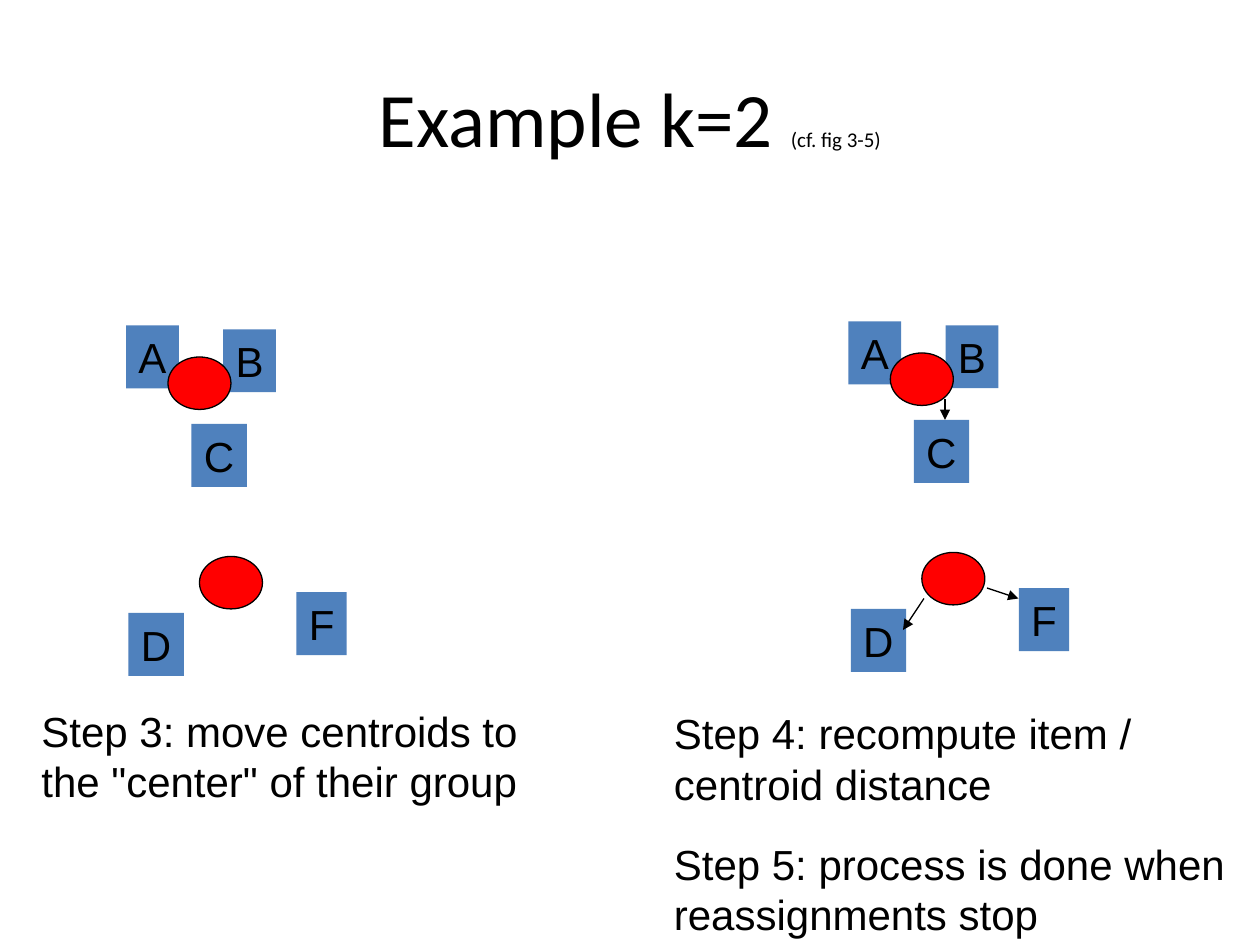
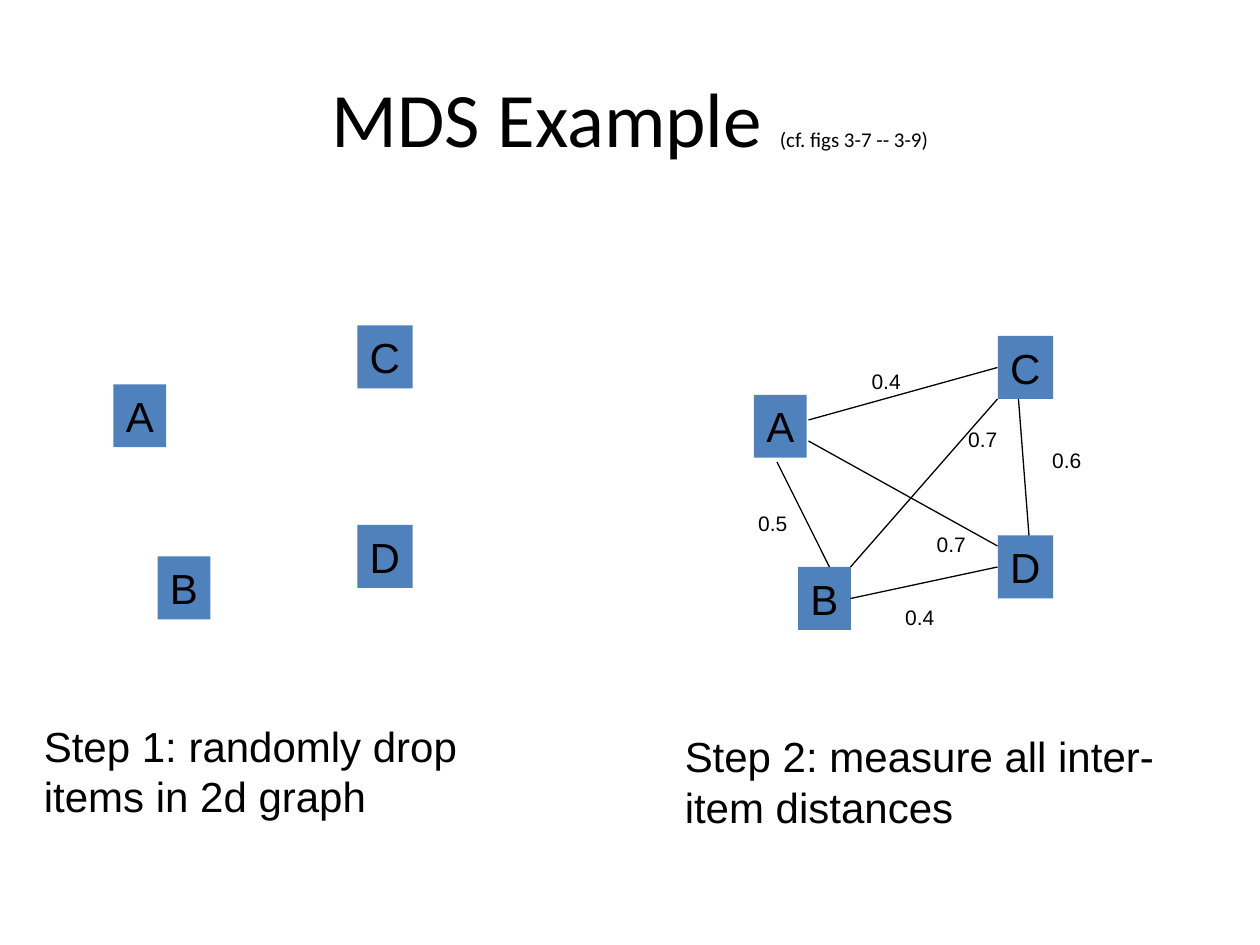
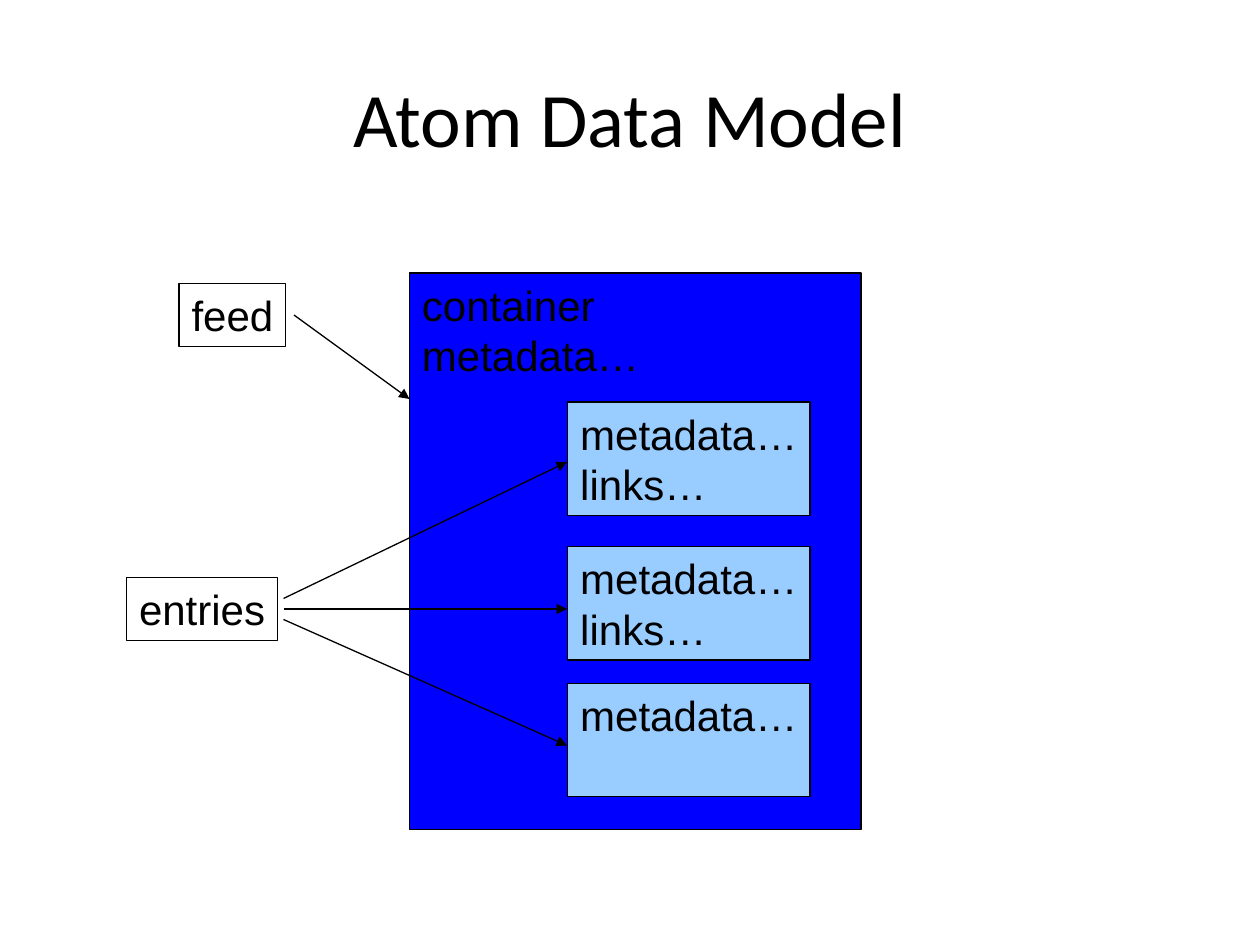
from pptx import Presentation
from pptx.dml.color import RGBColor
from pptx.enum.shapes import MSO_CONNECTOR, MSO_SHAPE
from pptx.enum.text import MSO_ANCHOR, PP_ALIGN
from pptx.oxml.ns import qn
from pptx.util import Pt
from lxml.etree import SubElement

BLACK = RGBColor(0x00, 0x00, 0x00)
ITEM_BLUE = RGBColor(0x4F, 0x81, 0xBD)
CENTROID_RED = RGBColor(0xFF, 0x00, 0x00)
FEED_BLUE = RGBColor(0x00, 0x00, 0xFF)
ENTRY_BLUE = RGBColor(0x99, 0xCC, 0xFF)

LINE_WIDTH = 0.75
LINE_PITCH = 1.2
ITEM_HEIGHT = 36
ITEM_WIDTHS = {"A": 30.2, "B": 30.2, "C": 31.7, "D": 31.7, "F": 28.8}


def add_box(slide, box, lines=(), fill=None, outlined=False,
            kind=MSO_SHAPE.RECTANGLE, size=24, gaps=None):
    """Add a shape, or a bare text box; gaps maps a line index to its space before."""
    left, top, width, height = [Pt(length) for length in box]
    is_text_box = fill is None and not outlined
    if is_text_box:
        shape = slide.shapes.add_textbox(left, top, width, height)
    else:
        shape = slide.shapes.add_shape(kind, left, top, width, height)
        shape.shadow.inherit = False
        if fill is None:
            shape.fill.background()
        else:
            shape.fill.solid()
            shape.fill.fore_color.rgb = fill
        if outlined:
            shape.line.color.rgb = BLACK
            shape.line.width = Pt(LINE_WIDTH)
        else:
            shape.line.fill.background()
    frame = shape.text_frame
    frame.word_wrap = is_text_box
    frame.vertical_anchor = MSO_ANCHOR.TOP
    for index, line in enumerate(lines):
        paragraph = frame.paragraphs[0] if index == 0 else frame.add_paragraph()
        paragraph.alignment = PP_ALIGN.LEFT
        paragraph.line_spacing = Pt(LINE_PITCH * size)
        if gaps and index in gaps:
            paragraph.space_before = Pt(gaps[index])
        run = paragraph.add_run()
        run.text = line
        run.font.name = "Arial"
        run.font.size = Pt(size)
        run.font.color.rgb = BLACK


def add_line(slide, ends, arrow=False):
    """Add a thin black line from (x1, y1) to (x2, y2)."""
    connector = slide.shapes.add_connector(
        MSO_CONNECTOR.STRAIGHT, *[Pt(length) for length in ends])
    connector.line.color.rgb = BLACK
    connector.line.width = Pt(LINE_WIDTH)
    properties = connector._element.spPr
    if arrow:
        SubElement(properties.get_or_add_ln(), qn("a:tailEnd"), type="triangle")
    SubElement(properties, qn("a:effectLst"))


presentation = Presentation()
presentation.slide_width = Pt(720)
presentation.slide_height = Pt(540)

# Slides and their titles
slides = []
for title_runs in (
    [("Example k=2 ", 44), ("(cf. fig 3-5)", 12)],
    [("MDS Example ", 44), ("(cf. figs 3-7 -- 3-9)", 12)],
    [("Atom Data Model", 44)],
):
    slide = presentation.slides.add_slide(presentation.slide_layouts[6])
    title = slide.shapes.add_textbox(Pt(36), Pt(21.6), Pt(648), Pt(90))
    title.text_frame.word_wrap = True
    title.text_frame.vertical_anchor = MSO_ANCHOR.MIDDLE
    paragraph = title.text_frame.paragraphs[0]
    paragraph.alignment = PP_ALIGN.CENTER
    for text, size in title_runs:
        run = paragraph.add_run()
        run.text = text
        run.font.name = "Calibri"
        run.font.size = Pt(size)
        run.font.color.rgb = BLACK
    slides.append(slide)
kmeans_slide, mds_slide, atom_slide = slides

# Example k=2: the same items and centroids in both steps
clusters = {"A": (72, 186), "B": (127.5, 188.2), "C": (109.4, 242.3),
            "D": (73.4, 350.3), "F": (169.4, 338.4)}
centroids = [(96, 204), (114, 318)]
for shift_x, shift_y in ((0, 0), (412.8, -2.3)):
    for letter, (x, y) in clusters.items():
        add_box(kmeans_slide,
                (x + shift_x, y + shift_y, ITEM_WIDTHS[letter], ITEM_HEIGHT),
                [letter], ITEM_BLUE)
    for x, y in centroids:
        add_box(kmeans_slide, (x + shift_x, y + shift_y, 36, 30),
                fill=CENTROID_RED, outlined=True, kind=MSO_SHAPE.OVAL)

add_box(kmeans_slide, (16.6, 399.6, 297, 64.8),
        ["Step 3: move centroids to", 'the "center" of their group'])
add_box(kmeans_slide, (378, 401, 334, 139),
        ["Step 4: recompute item /", "centroid distance",
         "Step 5: process is done when", "reassignments stop"], gaps={2: 16.8})

for ends in ((540, 228, 540, 240), (564, 336, 582, 342), (528, 342, 516, 360)):
    add_line(kmeans_slide, ends, arrow=True)

# MDS: items dropped at random, then measured
mds_items = {"A": (64.8, 219.6), "B": (90, 318),
             "C": (204.2, 186), "D": (204.2, 300)}
for shift_x, shift_y in ((0, 0), (366, 6)):
    for letter, (x, y) in mds_items.items():
        add_box(mds_slide,
                (x + shift_x, y + shift_y, ITEM_WIDTHS[letter], ITEM_HEIGHT),
                [letter], ITEM_BLUE)

add_box(mds_slide, (18, 408, 261, 64.8),
        ["Step 1: randomly drop", "items in 2d graph"])
add_box(mds_slide, (384.2, 414, 287, 64.8),
        ["Step 2: measure all inter-", "item distances"])

# Each distance: line ends, label, label position
distances = [
    ((462, 240, 570, 210), "0.4", (491, 207)),
    ((444, 264, 474, 324), "0.5", (426.2, 288)),
    ((582, 228, 588, 306), "0.6", (594.2, 252)),
    ((486, 342, 570, 324), "0.4", (510.2, 342)),
    ((462, 252, 570, 312), "0.7", (528.2, 300)),
    ((486, 324, 570, 228), "0.7", (546.2, 240)),
]
for ends, label, (x, y) in distances:
    add_line(mds_slide, ends)
    add_box(mds_slide, (x, y, 33, 21.6), [label], size=12)

# Atom: feed container with its entries
add_box(atom_slide, (234, 156, 258, 318), fill=FEED_BLUE, outlined=True)
for top, lines in ((229.7, ["metadata…", "links…"]),
                   (312.4, ["metadata…", "links…"]),
                   (390.5, ["metadata…"])):
    add_box(atom_slide, (324.5, top, 138.4, 64.8), lines, ENTRY_BLUE, outlined=True)
add_box(atom_slide, (234, 156, 143, 64.8), ["container", "metadata…"])

# Atom: labels and their arrows
add_box(atom_slide, (102.4, 162, 61, 36), ["feed"], outlined=True)
add_box(atom_slide, (72.4, 330, 86.4, 36), ["entries"], outlined=True)
for ends in ((168, 180, 234, 228), (162, 342, 324, 264),
             (162, 348, 324, 348), (162, 354, 324, 426)):
    add_line(atom_slide, ends, arrow=True)

presentation.save("out.pptx")
